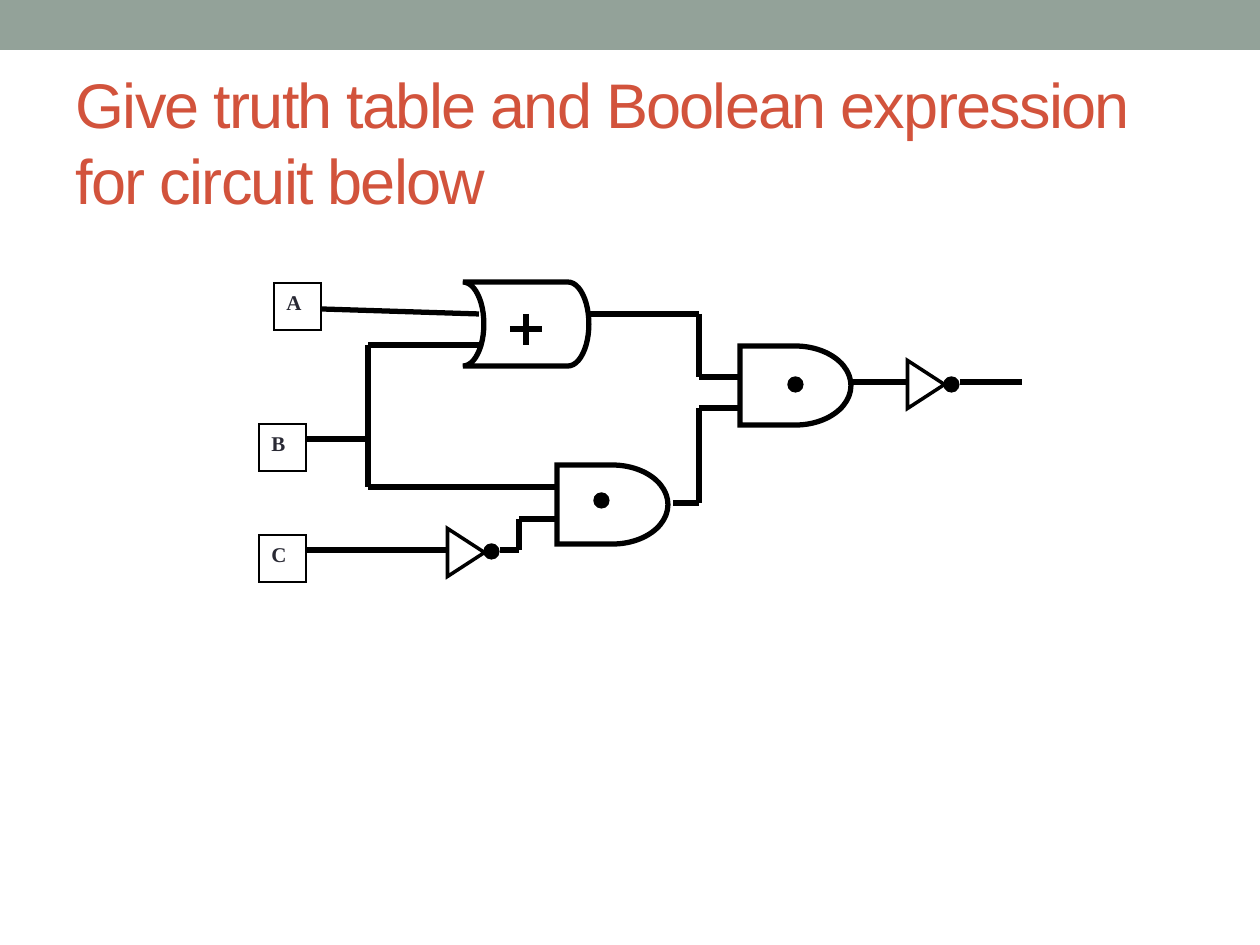
from itertools import pairwise

from lxml.etree import SubElement
from pptx import Presentation
from pptx.dml.color import RGBColor
from pptx.enum.shapes import MSO_CONNECTOR, MSO_SHAPE
from pptx.enum.text import MSO_ANCHOR, PP_ALIGN
from pptx.oxml.ns import qn
from pptx.util import Emu, Pt

PX = 914400 // 126


class Theme:
    bar, title, ink, label, paper = "93A299", "D2533C", "000000", "292934", "FFFFFF"
    title_font, label_font = "Arial", "Times New Roman"
    title_size, label_size = 36, 12
    wire, inverter, thin = 3, 2, 0.75


TITLE = "Give truth table and Boolean expression for circuit below"
TITLE_BOX = (63, 73, 1134, 136)
BAR_BOX = (0, 0, 1260, 50)

WIRES = [
    [(321, 309), (479, 314)],  # A to OR
    [(305, 439), (368, 439)],  # B to fork
    [(479, 345), (368, 345), (368, 487), (558, 487)],  # fork to OR and AND
    [(305, 550), (368, 550), (447, 550)],  # C to inverter
    [(500, 550), (519, 550), (519, 519), (558, 519)],  # inverter to AND
    [(588, 314), (699, 314), (699, 377), (740, 377)],  # OR to last AND
    [(673, 503), (699, 503), (699, 408), (740, 408)],  # AND to last AND
    [(851, 382), (907, 382)],  # last AND to inverter
    [(960, 382), (1022, 382)],  # output
]
PLUS = [[(526, 314), (526, 345)], [(510, 329), (542, 329)]]

INPUTS = [("A", 274, 283), ("B", 259, 424), ("C", 259, 535)]
INPUT_SIDE = 47
OR_GATE = (463, 282, 126, 84)
AND_GATES = [(557, 465), (740, 346)]
AND_SIZE = (111, 79)
INVERTERS = [(442, 534), (902, 366)]
INVERTER_SIZE = (48, 37)
DOTS = [(594, 493), (788, 377), (484, 544), (944, 377)]
DOT_SIDE = 15


def px(*lengths):
    return [Emu(length * PX) for length in lengths]


def color(value):
    return RGBColor.from_string(value)


def format_text(para, **values):
    for name, value in values.items():
        setattr(para.font, name, value)


def add_block(shapes, kind, box, fill, width=None):
    """Add a flat preset shape, outlined in ink when a width is given."""
    shape = shapes.add_shape(kind, *px(*box))
    shape.shadow.inherit = False
    shape.fill.solid()
    shape.fill.fore_color.rgb = color(fill)
    if width is None:
        shape.line.fill.background()
    else:
        shape.line.color.rgb = color(Theme.ink)
        shape.line.width = Pt(width)
        outline = shape._element.spPr.find(qn("a:ln"))
        SubElement(outline, qn("a:miter"), lim="800000")
    return shape


def add_wires(shapes, routes):
    for points in routes:
        for start, end in pairwise(points):
            wire = shapes.add_connector(MSO_CONNECTOR.STRAIGHT, *px(*start, *end))
            wire.line.color.rgb = color(Theme.ink)
            wire.line.width = Pt(Theme.wire)
            SubElement(wire._element.spPr, qn("a:effectLst"))


def add_input(shapes, name, left, top):
    box = add_block(shapes, MSO_SHAPE.RECTANGLE, (left, top, INPUT_SIDE, INPUT_SIDE),
                    Theme.paper, Theme.thin)
    box.text_frame.text = name
    box.text_frame.vertical_anchor = MSO_ANCHOR.TOP
    para = box.text_frame.paragraphs[0]
    para.alignment = PP_ALIGN.LEFT
    format_text(para, name=Theme.label_font, size=Pt(Theme.label_size), bold=True)
    para.font.color.rgb = color(Theme.label)


def add_title(page):
    title = page.shapes.title
    title.left, title.top, title.width, title.height = px(*TITLE_BOX)
    frame = title.text_frame
    frame.text = TITLE
    frame.vertical_anchor = MSO_ANCHOR.MIDDLE
    para = frame.paragraphs[0]
    para.alignment = PP_ALIGN.LEFT
    format_text(para, name=Theme.title_font, size=Pt(Theme.title_size))
    para.font.color.rgb = color(Theme.title)
    para.runs[0].font._element.set("spc", "-100")


def add_circuit(page):
    shapes = page.shapes.add_group_shape().shapes
    add_wires(shapes, WIRES)
    for entry in INPUTS:
        add_input(shapes, *entry)
    or_gate = add_block(shapes, MSO_SHAPE.FLOWCHART_STORED_DATA, OR_GATE,
                        Theme.paper, Theme.wire)
    or_gate._element.spPr.xfrm.set("flipH", "1")
    add_wires(shapes, PLUS)
    for corner in AND_GATES:
        add_block(shapes, MSO_SHAPE.FLOWCHART_DELAY, corner + AND_SIZE,
                  Theme.paper, Theme.wire)
    for corner in INVERTERS:
        inverter = add_block(shapes, MSO_SHAPE.ISOSCELES_TRIANGLE,
                             corner + INVERTER_SIZE, Theme.paper, Theme.inverter)
        inverter.rotation = 90
    for corner in DOTS:
        add_block(shapes, MSO_SHAPE.OVAL, corner + (DOT_SIDE, DOT_SIDE),
                  Theme.ink, Theme.thin)


def main():
    deck = Presentation()
    deck.slide_width, deck.slide_height = px(1260, 945)
    page = deck.slides.add_slide(deck.slide_layouts[5])
    add_block(page.shapes, MSO_SHAPE.RECTANGLE, BAR_BOX, Theme.bar)
    add_title(page)
    add_circuit(page)
    deck.save("out.pptx")


if __name__ == "__main__":
    main()
